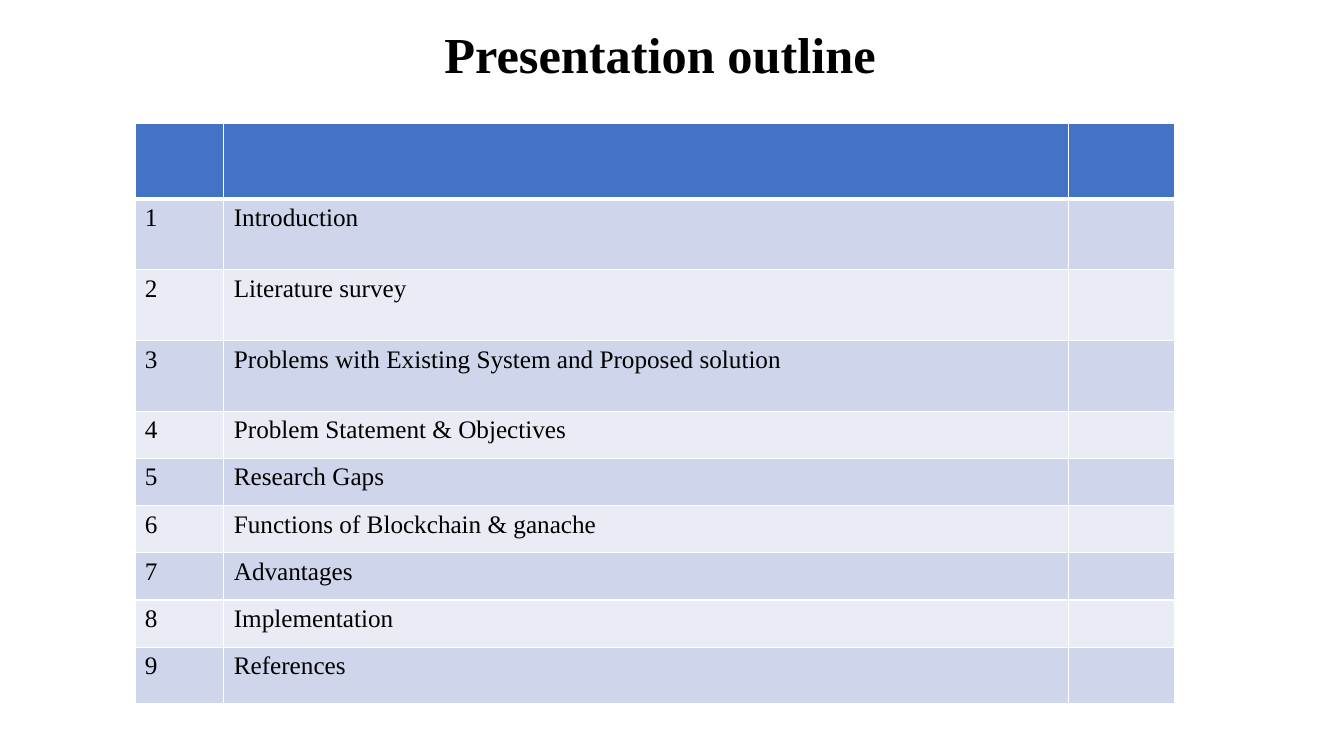
import pptx
import pptx.dml.color
import pptx.enum.text
import pptx.oxml
import pptx.oxml.ns
import pptx.util

Cm = pptx.util.Cm
Pt = pptx.util.Pt
Color = pptx.dml.color.RGBColor.from_string

theme = {
    "font": "Times New Roman",
    "text": "000000",
    "header": "4472C4",
    "bands": ["CFD5EA", "E9EBF5"],
    "border": "FFFFFF",
    "title_size": 36,
    "body_size": 18,
    "border_width": 1,
    "header_border_width": 3,
}

topics = [
    "Introduction",
    "Literature survey",
    "Problems with Existing System and Proposed solution",
    "Problem Statement & Objectives",
    "Research Gaps",
    "Functions of Blockchain & ganache",
    "Advantages",
    "Implementation",
    "References",
]
column_widths = [2.24, 21.28, 2.69]
row_heights = [1.9] + [1.78] * 3 + [1.19] * 5 + [1.42]


def write_text(paragraph, text, size, bold=False):
    paragraph.text = text
    font_format = {"name": theme["font"], "size": Pt(size), "bold": bold}
    for attribute, value in font_format.items():
        setattr(paragraph.font, attribute, value)
    paragraph.font.color.rgb = Color(theme["text"])


def add_border(cell, side, width):
    cell._tc.get_or_add_tcPr().append(pptx.oxml.parse_xml(
        f'<a:ln{side} {pptx.oxml.ns.nsdecls("a")} w="{Pt(width)}">'
        f'<a:solidFill><a:srgbClr val="{theme["border"]}"/></a:solidFill>'
        f'</a:ln{side}>'
    ))


presentation = pptx.Presentation()
presentation.slide_width = Cm(33.87)
presentation.slide_height = Cm(19.05)
slide = presentation.slides.add_slide(presentation.slide_layouts[6])

# Outline table
table = slide.shapes.add_table(
    len(row_heights), len(column_widths), Cm(3.4), Cm(3.12),
    Cm(sum(column_widths)), Cm(sum(row_heights)),
).table
for column, width in zip(table.columns, column_widths):
    column.width = Cm(width)
for row, height in zip(table.rows, row_heights):
    row.height = Cm(height)

# Cell borders and fills: a header row above alternating bands
for row_index, row in enumerate(table.rows):
    fill_color = theme["bands"][(row_index - 1) % 2] if row_index else theme["header"]
    for cell in row.cells:
        for side in "LRTB":
            under_header = (row_index, side) in [(0, "B"), (1, "T")]
            add_border(cell, side, theme["header_border_width" if under_header else "border_width"])
        cell.fill.solid()
        cell.fill.fore_color.rgb = Color(fill_color)

# Numbered topics
for number, topic in enumerate(topics, start=1):
    for column_index, text in enumerate([str(number), topic]):
        cell = table.cell(number, column_index)
        write_text(cell.text_frame.paragraphs[0], text, theme["body_size"])

# Title
title = slide.shapes.add_textbox(Cm(10.95), Cm(0.46), Cm(15.14), Cm(1.8))
title.text_frame.word_wrap = True
title.text_frame.auto_size = pptx.enum.text.MSO_AUTO_SIZE.SHAPE_TO_FIT_TEXT
write_text(title.text_frame.paragraphs[0], "Presentation outline", theme["title_size"], bold=True)

presentation.save("out.pptx")
